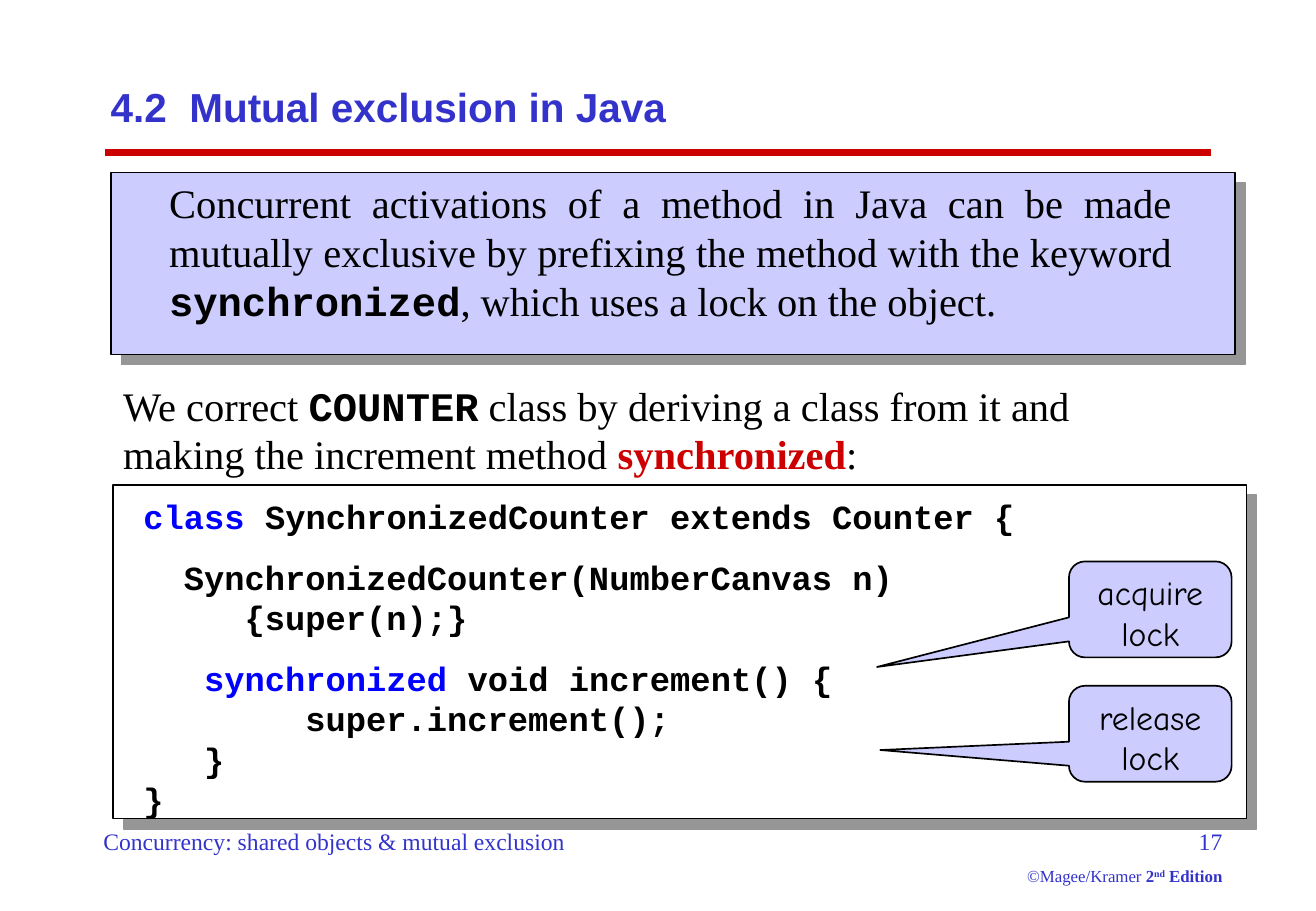
from dataclasses import dataclass

from lxml import etree
from pptx import Presentation
from pptx.dml.color import RGBColor
from pptx.enum import shapes, text
from pptx.oxml import ns
from pptx.util import Pt

BLACK = RGBColor(0x00, 0x00, 0x00)
WHITE = RGBColor(0xFF, 0xFF, 0xFF)
RED = RGBColor(0xCC, 0x00, 0x00)
INDIGO = RGBColor(0x33, 0x33, 0xCC)
KEYWORD_BLUE = RGBColor(0x00, 0x00, 0xFF)
LAVENDER = RGBColor(0xCC, 0xCC, 0xFF)
SHADOW_GREY = RGBColor(0x96, 0x96, 0x96)

SERIF, SANS, MONO, HAND = "Times New Roman", "Arial", "Courier New", "Comic Neue"
LINE_FACTOR = 1.2
CODE_CHAR = 12  # advance of one code character at 20 pt


@dataclass(frozen=True)
class Box:
    left: float
    top: float
    width: float
    height: float

    def lengths(self) -> tuple:
        return Pt(self.left), Pt(self.top), Pt(self.width), Pt(self.height)


@dataclass(frozen=True)
class Span:
    """A stretch of text; only what differs from its line is given."""
    words: str
    font: str | None = None
    color: RGBColor | None = None
    bold: bool | None = None
    raised: bool = False


@dataclass(frozen=True)
class Line:
    spans: tuple[Span, ...]
    size: float
    font: str = SERIF
    color: RGBColor = BLACK
    bold: bool = False
    align: text.PP_ALIGN = text.PP_ALIGN.LEFT
    before: float = 0
    indent: float = 0


@dataclass(frozen=True)
class Callout:
    label: str
    top: float
    tip: tuple[float, float]


def code_line(*spans: Span, depth: int = 0, before: float = 0) -> Line:
    return Line(spans, 20, MONO, bold=True, before=before, indent=depth * CODE_CHAR)


def write_lines(frame, lines: list[Line], anchor=text.MSO_ANCHOR.TOP) -> None:
    frame.word_wrap = True
    frame.vertical_anchor = anchor
    for number, line in enumerate(lines):
        paragraph = frame.paragraphs[0] if number == 0 else frame.add_paragraph()
        paragraph.alignment = line.align
        paragraph.line_spacing = Pt(round(line.size * LINE_FACTOR, 1))
        paragraph.space_before = Pt(line.before)
        if line.indent:
            paragraph._p.get_or_add_pPr().set("marL", str(Pt(line.indent)))
        paragraph.font.size = Pt(line.size)
        for span in line.spans:
            run = paragraph.add_run()
            run.text = span.words
            run.font.name = span.font or line.font
            run.font.bold = line.bold if span.bold is None else span.bold
            run.font.color.rgb = span.color or line.color
            run.font.size = Pt(line.size)
            if span.raised:
                run._r.get_or_add_rPr().set("baseline", "30000")


def add_text(slide, box: Box, lines: list[Line], anchor=text.MSO_ANCHOR.TOP) -> None:
    write_lines(slide.shapes.add_textbox(*box.lengths()).text_frame, lines, anchor)


def add_outlined(slide, preset: shapes.MSO_SHAPE, box: Box, fill: RGBColor):
    shape = slide.shapes.add_shape(preset, *box.lengths())
    shape.shadow.inherit = False
    shape.fill.solid()
    shape.fill.fore_color.rgb = fill
    shape.line.color.rgb = BLACK
    shape.line.width = Pt(1)
    return shape


def add_panel(slide, box: Box, fill: RGBColor) -> None:
    panel = add_outlined(slide, shapes.MSO_SHAPE.RECTANGLE, box, fill)
    effects = panel._element.spPr.find(ns.qn("a:effectLst"))
    shadow = etree.SubElement(effects, ns.qn("a:outerShdw"), dist=str(Pt(8.5)),
                              dir=str(45 * 60000), algn="ctr", rotWithShape="0")
    etree.SubElement(shadow, ns.qn("a:srgbClr"), val=str(SHADOW_GREY))


def add_callout(slide, callout: Callout) -> None:
    bubble = add_outlined(slide, shapes.MSO_SHAPE.ROUNDED_RECTANGULAR_CALLOUT,
                          Box(634, callout.top, 96.5, 56.9), LAVENDER)
    bubble.adjustments[0], bubble.adjustments[1] = callout.tip
    bubble.adjustments[2] = 0.167
    write_lines(bubble.text_frame, [
        Line((Span(callout.label),), 20, HAND, align=text.PP_ALIGN.CENTER)])


def add_rule(slide) -> None:
    rule = slide.shapes.add_connector(shapes.MSO_CONNECTOR.STRAIGHT,
                                      Pt(62.2), Pt(90.2), Pt(718.2), Pt(90.2))
    rule.line.color.rgb = RED
    rule.line.width = Pt(4)
    etree.SubElement(rule._element.spPr, ns.qn("a:effectLst"))


CODE = [
    code_line(Span("class", color=KEYWORD_BLUE),
              Span(" SynchronizedCounter extends Counter {")),
    code_line(Span("SynchronizedCounter(NumberCanvas n)"), depth=2, before=12),
    code_line(Span("{super(n);}"), depth=5),
    code_line(Span("synchronized", color=KEYWORD_BLUE),
              Span(" void increment() {"), depth=3, before=12),
    code_line(Span("super.increment();"), depth=8),
    code_line(Span("}"), depth=3),
    code_line(Span("}")),
]

CALLOUTS = [
    Callout("acquire lock", 332.8, (-1.68, 0.6)),
    Callout("release lock", 406.5, (-1.66, 0.17)),
]


def main() -> None:
    deck = Presentation()
    deck.slide_width, deck.slide_height = Pt(780.48), Pt(540)
    slide = deck.slides.add_slide(deck.slide_layouts[6])

    # Rule and footer
    add_rule(slide)
    add_text(slide, Box(54.2, 486.5, 311.8, 24.5), [
        Line((Span("Concurrency: shared objects & mutual exclusion"),), 14, color=INDIGO)])
    add_text(slide, Box(594.5, 486.5, 137.5, 42.5), [
        Line((Span("17"),), 14, color=INDIGO, align=text.PP_ALIGN.RIGHT),
        Line((Span("©Magee/Kramer "), Span("2", bold=True),
              Span("nd", bold=True, raised=True), Span(" Edition", bold=True)),
             10, color=INDIGO, align=text.PP_ALIGN.RIGHT, before=6.2)])

    # Panels behind the code and the statement
    add_panel(slide, Box(67.2, 287.3, 672, 198), WHITE)
    add_panel(slide, Box(66, 102.2, 666.5, 108), LAVENDER)

    # Title
    add_text(slide, Box(58.6, 36, 667.4, 54), [
        Line((Span("4.2  Mutual exclusion in Java"),), 24, SANS, INDIGO, bold=True)],
        text.MSO_ANCHOR.MIDDLE)

    # Code, introduction and statement
    add_text(slide, Box(78, 290.2, 624.2, 199.4), CODE)
    add_text(slide, Box(66, 222.2, 618, 64.8), [
        Line((Span("We correct "), Span("COUNTER", MONO, bold=True),
              Span(" class by deriving a class from it and making the increment method "),
              Span("synchronized", color=RED, bold=True), Span(":")), 24)])
    add_text(slide, Box(48, 102.2, 654.2, 93.6), [
        Line((Span("Concurrent activations of a method in Java can be made mutually "
                   "exclusive by prefixing the method with the keyword "),
              Span("synchronized", MONO, bold=True),
              Span(", which uses a lock on the object.")),
             24, align=text.PP_ALIGN.JUSTIFY, indent=45.2)])

    # Lock callouts
    for callout in CALLOUTS:
        add_callout(slide, callout)

    deck.save("out.pptx")


if __name__ == "__main__":
    main()
